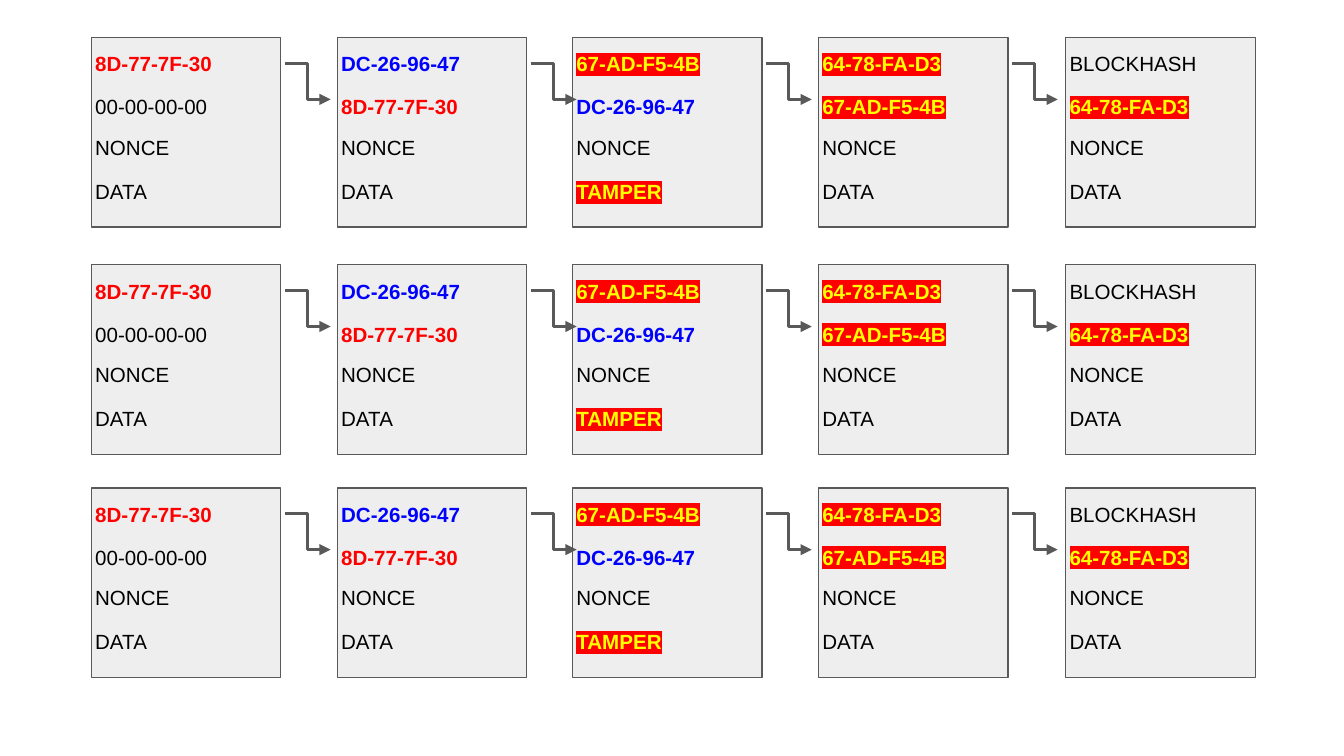
from lxml import etree
from pptx import Presentation
from pptx.dml.color import RGBColor
from pptx.enum.shapes import MSO_CONNECTOR, MSO_SHAPE
from pptx.enum.text import MSO_AUTO_SIZE
from pptx.oxml.ns import qn
from pptx.util import Inches, Pt


def rgb(value):
    return RGBColor.from_string(value)


# Widescreen 16:9 slide
prs = Presentation()
prs.slide_width = Inches(10)
prs.slide_height = Inches(10 * 9 / 16)
s = prs.slides.add_slide(prs.slide_layouts[6])

# Text styles: colour, bold, highlight
PLAIN = ("000000", False, None)
RED = ("FF0000", True, None)
BLUE = ("0000FF", True, None)
ALERT = ("FFFF00", True, "FF0000")

# Blocks: left edge, then hash, previous hash, nonce and data
nonce, data = ("NONCE", PLAIN), ("DATA", PLAIN)
blocks = [
    (0.68, [("8D-77-7F-30", RED), ("00-00-00-00", PLAIN), nonce, data]),
    (2.51, [("DC-26-96-47", BLUE), ("8D-77-7F-30", RED), nonce, data]),
    (4.26, [("67-AD-F5-4B", ALERT), ("DC-26-96-47", BLUE), nonce, ("TAMPER", ALERT)]),
    (6.09, [("64-78-FA-D3", ALERT), ("67-AD-F5-4B", ALERT), nonce, data]),
    (7.93, [("BLOCKHASH", PLAIN), ("64-78-FA-D3", ALERT), nonce, data]),
]
chain_tops = [0.28, 1.97, 3.63]
field_slots = [(0.01, 1.53), (0.33, 1.67), (0.63, 1.67), (0.96, 1.67)]  # offset, width
side = 1.41

for top in chain_tops:
    # Blocks of one chain, each a group of a square and four fields
    for left, fields in blocks:
        group = s.shapes.add_group_shape()
        sp = group.shapes.add_shape(
            MSO_SHAPE.RECTANGLE, Inches(left), Inches(top), Inches(side), Inches(side))
        sp.shadow.inherit = False
        sp.fill.solid()
        sp.fill.fore_color.rgb = rgb("EEEEEE")
        sp.line.color.rgb = rgb("595959")
        sp.line.width = Pt(0.75)

        for (text, (color, bold, highlight)), (offset, width) in zip(fields, field_slots):
            box = group.shapes.add_textbox(
                Inches(left - 0.07), Inches(top + offset), Inches(width), Inches(0.39))
            tf = box.text_frame
            tf.word_wrap = True
            tf.auto_size = MSO_AUTO_SIZE.SHAPE_TO_FIT_TEXT
            tf.margin_left = tf.margin_right = Inches(0.1)
            tf.margin_top = tf.margin_bottom = Inches(0.1)
            r = tf.paragraphs[0].add_run()
            r.text = text
            r.font.name = "Arial"
            r.font.size = Pt(11)
            r.font.bold = bold
            r.font.color.rgb = rgb(color)
            if highlight:
                # The highlight must follow the text fill
                mark = etree.Element(qn("a:highlight"))
                etree.SubElement(mark, qn("a:srgbClr"), val=highlight)
                r._r.rPr.find(qn("a:solidFill")).addnext(mark)

    # Arrows from each block's hash to the next block's previous hash
    for left, _ in blocks[:-1]:
        start = left + side + 0.03
        link = s.shapes.add_connector(
            MSO_CONNECTOR.ELBOW, Inches(start), Inches(top + 0.19),
            Inches(start + 0.34), Inches(top + 0.46))
        link.line.color.rgb = rgb("595959")
        link.line.width = Pt(1.5)
        props = link._element.spPr
        etree.SubElement(props.find(qn("a:ln")), qn("a:tailEnd"), type="triangle")
        etree.SubElement(props, qn("a:effectLst"))

prs.save("out.pptx")
